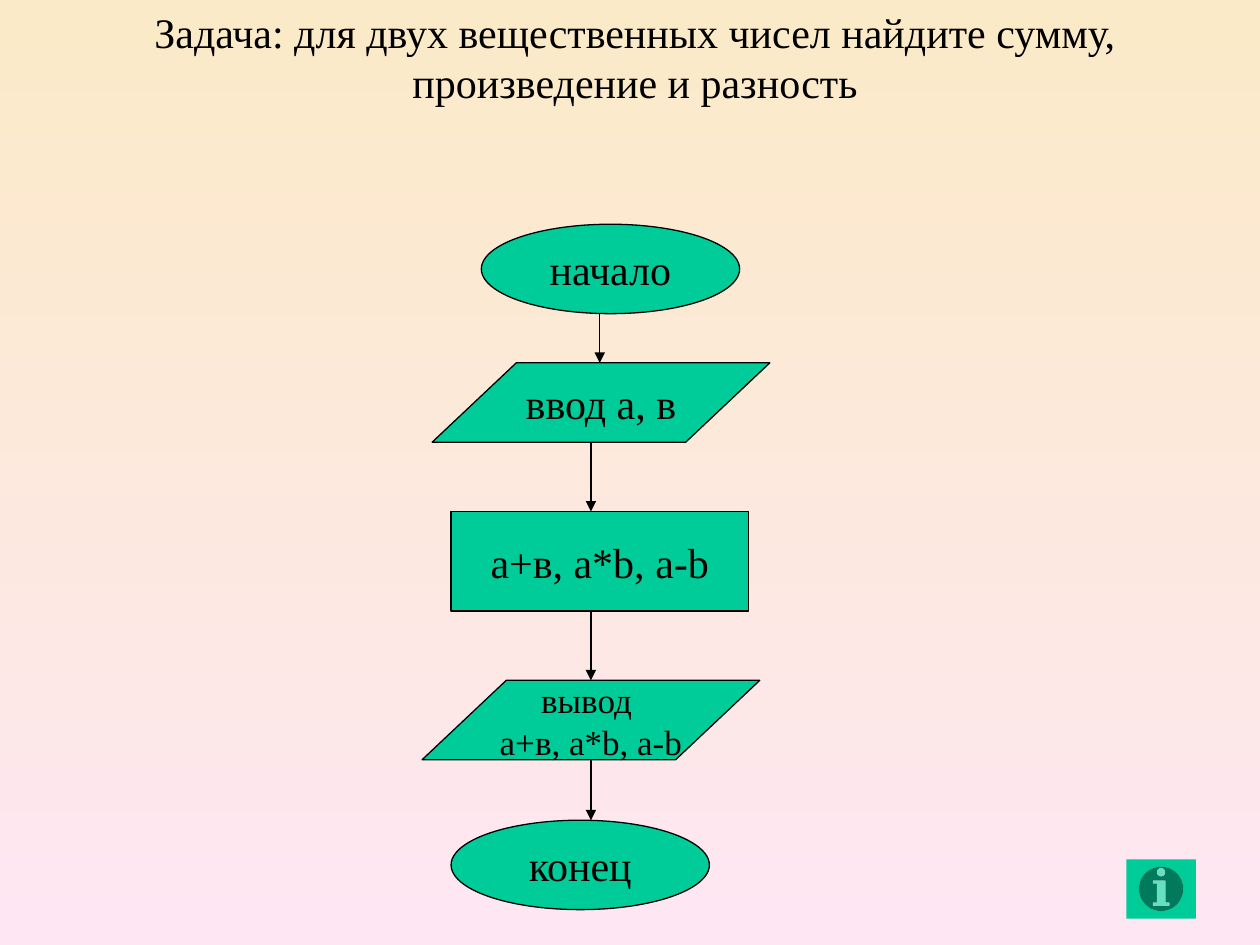
from dataclasses import dataclass
from itertools import pairwise

from lxml import etree
from pptx import Presentation
from pptx.dml.color import RGBColor
from pptx.enum.shapes import MSO_CONNECTOR, MSO_SHAPE
from pptx.enum.text import MSO_ANCHOR, MSO_AUTO_SIZE, PP_ALIGN
from pptx.oxml.ns import qn
from pptx.util import Inches, Pt

ELLIPSE = MSO_SHAPE.OVAL
PARALLELOGRAM = MSO_SHAPE.PARALLELOGRAM
RECTANGLE = MSO_SHAPE.RECTANGLE
INFO_BUTTON = MSO_SHAPE.ACTION_BUTTON_INFORMATION
STRAIGHT = MSO_CONNECTOR.STRAIGHT
CENTER = PP_ALIGN.CENTER
TOP, MIDDLE = MSO_ANCHOR.TOP, MSO_ANCHOR.MIDDLE
NO_AUTOFIT = MSO_AUTO_SIZE.NONE
TITLE_ONLY_LAYOUT = 5


@dataclass(frozen=True)
class Theme:
    font: str = "Times New Roman"
    large: int = 24
    small: int = 20
    ink: RGBColor = RGBColor(0x00, 0x00, 0x00)
    block: RGBColor = RGBColor(0x00, 0xCC, 0x99)
    sky: RGBColor = RGBColor(0xFB, 0xEA, 0xC7)
    ground: RGBColor = RGBColor(0xFE, 0xE7, 0xF2)
    line_width: float = 0.75


THEME = Theme()


@dataclass(frozen=True)
class Step:
    kind: MSO_SHAPE
    lines: tuple[str, ...]
    left: float
    top: float
    width: float
    height: float
    size: int = THEME.large

    @property
    def bottom(self) -> float:
        return self.top + self.height


STEPS = (
    Step(ELLIPSE, ("начало",), 3.82, 1.78, 2.05, 0.71),
    Step(PARALLELOGRAM, ("ввод а, в",), 3.43, 2.88, 2.68, 0.63),
    Step(RECTANGLE, ("а+в, a*b, a-b",), 3.58, 4.06, 2.36, 0.79),
    Step(PARALLELOGRAM, ("вывод ", "а+в, a*b, a-b"), 3.35, 5.4, 2.68, 0.63, THEME.small),
    Step(ELLIPSE, ("конец",), 3.58, 6.51, 2.05, 0.71),
)
ARROW_COLUMNS = (4.76, 4.69, 4.69, 4.69)
SLANT = 1.06


def write_lines(frame, lines: tuple[str, ...], size: int) -> None:
    frame.text = "\n".join(lines)
    for paragraph in frame.paragraphs:
        paragraph.alignment = CENTER
        paragraph.font.name = THEME.font
        paragraph.font.size = Pt(size)
        paragraph.font.color.rgb = THEME.ink


def paint_background(slide) -> None:
    fill = slide.background.fill
    fill.gradient()
    fill.gradient_angle = 270
    for stop, color in zip(fill.gradient_stops, (THEME.sky, THEME.ground)):
        stop.color.rgb = color


def add_title(slide, text: str) -> None:
    title = slide.shapes.title
    title.left, title.top = Inches(0.67), Inches(0)
    title.width, title.height = Inches(8.74), Inches(0.9)
    frame = title.text_frame
    frame.word_wrap = True
    frame.auto_size = NO_AUTOFIT
    frame.vertical_anchor = TOP
    write_lines(frame, (text,), THEME.large)


def add_block(slide, kind: MSO_SHAPE, left: float, top: float, width: float, height: float):
    """Add a flat shape in the block colour."""
    block = slide.shapes.add_shape(
        kind, Inches(left), Inches(top), Inches(width), Inches(height)
    )
    block.shadow.inherit = False
    block.fill.solid()
    block.fill.fore_color.rgb = THEME.block
    return block


def add_step(slide, step: Step) -> None:
    block = add_block(slide, step.kind, step.left, step.top, step.width, step.height)
    block.line.color.rgb = THEME.ink
    block.line.width = Pt(THEME.line_width)
    if step.kind == PARALLELOGRAM:
        block.adjustments[0] = SLANT
    frame = block.text_frame
    frame.word_wrap = False
    frame.vertical_anchor = MIDDLE
    write_lines(frame, step.lines, step.size)


def add_down_arrow(slide, x: float, start: float, end: float) -> None:
    arrow = slide.shapes.add_connector(
        STRAIGHT, Inches(x), Inches(start), Inches(x), Inches(end)
    )
    arrow.line.color.rgb = THEME.ink
    arrow.line.width = Pt(THEME.line_width)
    properties = arrow.element.spPr
    etree.SubElement(properties.find(qn("a:ln")), qn("a:tailEnd"), type="triangle")
    etree.SubElement(properties, qn("a:effectLst"))


def main() -> None:
    presentation = Presentation()
    presentation.slide_width, presentation.slide_height = Inches(10), Inches(7.5)
    slide = presentation.slides.add_slide(presentation.slide_layouts[TITLE_ONLY_LAYOUT])
    paint_background(slide)
    add_title(
        slide,
        "Задача: для двух вещественных чисел найдите сумму, произведение и разность",
    )
    for step in STEPS:
        add_step(slide, step)
    for x, (upper, lower) in zip(ARROW_COLUMNS, pairwise(STEPS)):
        add_down_arrow(slide, x, upper.bottom, lower.top)
    info_button = add_block(slide, INFO_BUTTON, 8.94, 6.82, 0.55, 0.47)
    info_button.line.fill.background()
    presentation.save("out.pptx")


if __name__ == "__main__":
    main()
